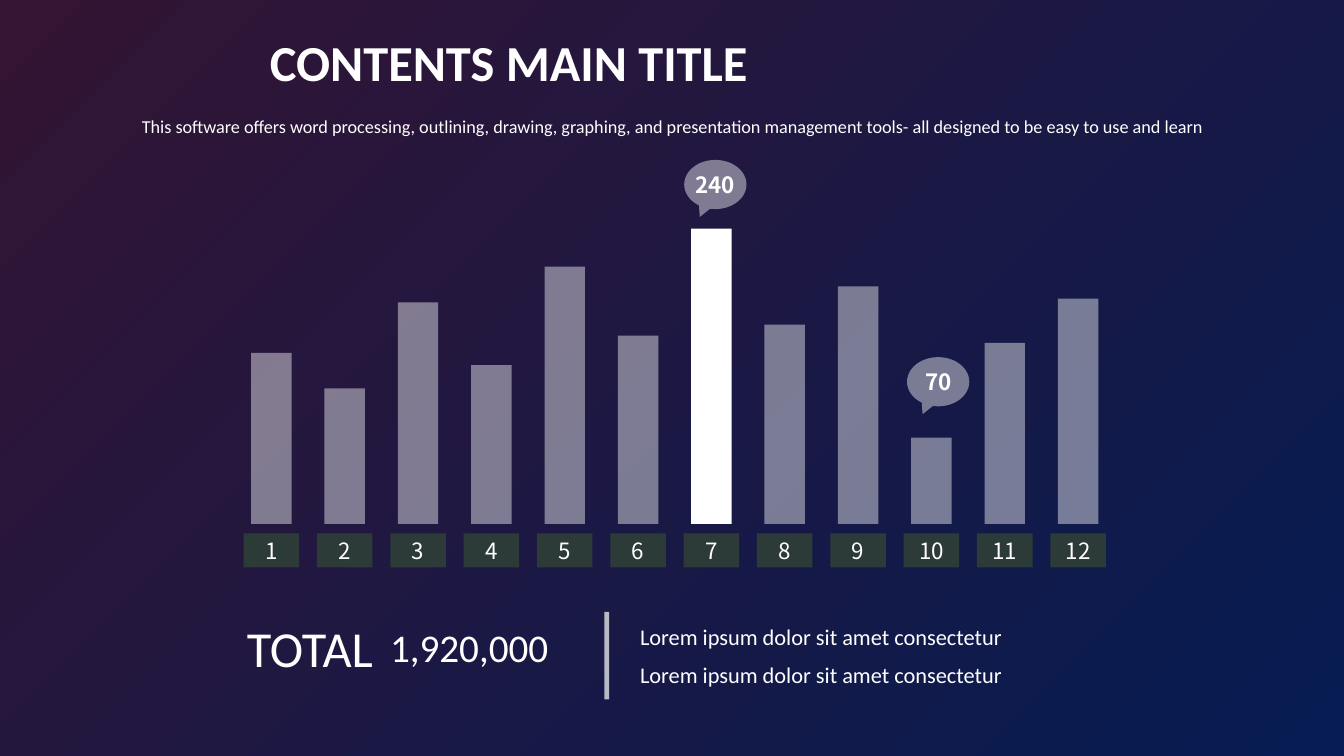
from lxml import etree
from pptx import Presentation
from pptx.dml.color import RGBColor
from pptx.enum.shapes import MSO_CONNECTOR, MSO_SHAPE
from pptx.enum.text import MSO_ANCHOR, MSO_AUTO_SIZE, PP_ALIGN
from pptx.oxml.ns import qn
from pptx.util import Cm, Pt

RECTANGLE = MSO_SHAPE.RECTANGLE
CALLOUT = MSO_SHAPE.OVAL_CALLOUT
STRAIGHT = MSO_CONNECTOR.STRAIGHT
TOP, MIDDLE = MSO_ANCHOR.TOP, MSO_ANCHOR.MIDDLE
LEFT, CENTER = PP_ALIGN.LEFT, PP_ALIGN.CENTER
RIGHT, JUSTIFY = PP_ALIGN.RIGHT, PP_ALIGN.JUSTIFY
NO_FIT, GROW = MSO_AUTO_SIZE.NONE, MSO_AUTO_SIZE.SHAPE_TO_FIT_TEXT

WHITE, LABEL_GREEN = "FFFFFF", "2C3B38"
PURPLE, NAVY = "331433", "061C52"
TEXT_FONT, NUMBER_FONT = "Calibri", "Noto Sans CJK SC"
BAR_ALPHA, DIVIDER_ALPHA = 43, 69

MONTH_VALUES = [139, 110, 180, 129, 209, 153, 240, 162, 193, 70, 147, 183]
HIGHLIGHTED_MONTH = 7
CALLOUT_OFFSETS = {7: (0.1, 1.73), 10: (0.17, 2.03)}
CM_PER_UNIT = 0.031


def paint(color_format, hex_color):
    """Set a colour from a hex string."""
    color_format.rgb = RGBColor.from_string(hex_color)


def set_alpha(shape, percent):
    """Make the coloured fill or line of a shape partly transparent."""
    for color in shape.element.spPr.iter(qn("a:srgbClr")):
        etree.SubElement(color, qn("a:alpha"), val=str(percent * 1000))


def place(shape, left, top, width, height):
    """Move and size a shape, in centimetres."""
    shape.left, shape.top = Cm(left), Cm(top)
    shape.width, shape.height = Cm(width), Cm(height)


def write(shape, text, size, align, font=TEXT_FONT, bold=False,
          anchor=MIDDLE, insets=(0, 0), fit=NO_FIT):
    """Fill a shape with white text in one style."""
    frame = shape.text_frame
    frame.text = text
    frame.word_wrap = True
    frame.auto_size = fit
    frame.vertical_anchor = anchor
    frame.margin_left = frame.margin_right = Cm(insets[0])
    frame.margin_top = frame.margin_bottom = Cm(insets[1])
    for paragraph in frame.paragraphs:
        paragraph.alignment = align
        for run in paragraph.runs:
            run.font.size, run.font.bold, run.font.name = Pt(size), bold, font
            paint(run.font.color, WHITE)


def add_textbox(slide, box, text, size, align, **style):
    """Add a text box at a place given in centimetres."""
    textbox = slide.shapes.add_textbox(*map(Cm, box))
    write(textbox, text, size, align, **style)


def add_block(slide, preset, box, color, alpha=100):
    """Add a flat preset shape without outline."""
    block = slide.shapes.add_shape(preset, *map(Cm, box))
    block.shadow.inherit = False
    block.fill.solid()
    paint(block.fill.fore_color, color)
    block.line.fill.background()
    if alpha < 100:
        set_alpha(block, alpha)
    return block


def set_background(slide):
    """Give the slide its diagonal purple to navy gradient."""
    fill = slide.background.fill
    fill.gradient()
    fill.gradient_angle = 315
    for stop, color in zip(fill.gradient_stops, (PURPLE, NAVY)):
        paint(stop.color, color)


def add_heading(slide, left, top, width):
    """Place the title and the centred subtitle."""
    title = slide.shapes.title
    place(title, left + 4.82, top, 20.75, 1.8)
    style = {"anchor": TOP, "insets": (0.25, 0.13), "fit": GROW}
    write(title, "CONTENTS MAIN TITLE", 36, JUSTIFY, bold=True, **style)
    add_textbox(
        slide, (left, top + 2.11, width, 0.81),
        "This software offers word processing, outlining, drawing, graphing, and "
        "presentation management tools- all designed to be easy to use and learn",
        13, CENTER, **style)


def add_month_bars(slide, left, top, width, height):
    """Draw the twelve bars with their labels and callouts."""
    label_width, label_height, bar_width = 1.4, 0.86, 1.02
    callout_width, callout_height = 1.57, 1.24
    pitch = (width - label_width) / (len(MONTH_VALUES) - 1)
    label_top = top + height - label_height
    baseline = label_top - 0.24
    for index, value in enumerate(MONTH_VALUES):
        month = index + 1
        label_left = left + index * pitch
        center = label_left + label_width / 2
        bar_height = value * CM_PER_UNIT
        bar_top = baseline - bar_height
        alpha = 100 if month == HIGHLIGHTED_MONTH else BAR_ALPHA
        add_block(slide, RECTANGLE,
                  (center - bar_width / 2, bar_top, bar_width, bar_height),
                  WHITE, alpha)
        label = add_block(slide, RECTANGLE,
                          (label_left, label_top, label_width, label_height),
                          LABEL_GREEN)
        write(label, str(month), 16, CENTER, NUMBER_FONT)
        if month in CALLOUT_OFFSETS:
            shift, rise = CALLOUT_OFFSETS[month]
            callout = add_block(
                slide, CALLOUT,
                (center + shift - callout_width / 2, bar_top - rise,
                 callout_width, callout_height), WHITE, BAR_ALPHA)
            callout.adjustments[0] = -0.25
            callout.adjustments[1] = 0.66
            write(callout, str(value), 16, CENTER, NUMBER_FONT, bold=True)


def add_summary(slide, left, top, width, height):
    """Place the total, the divider and the two remarks."""
    add_textbox(slide, (left, top + 0.08, 5.16, 2.18), "TOTAL", 36, RIGHT)
    add_textbox(slide, (left + 5.59, top + 0.08, 5.31, 2.18),
                "1,920,000", 28, LEFT)

    divider_left = Cm(left + 11.05)
    divider = slide.shapes.add_connector(
        STRAIGHT, divider_left, Cm(top + 0.28), divider_left, Cm(top + height))
    paint(divider.line.color, WHITE)
    divider.line.width = Pt(3.25)
    set_alpha(divider, DIVIDER_ALPHA)
    etree.SubElement(divider.element.spPr, qn("a:effectLst"))

    remarks = slide.placeholders[1]
    place(remarks, left + 11.89, top, width - 11.89, height)
    write(remarks, "\n".join(["Lorem ipsum dolor sit amet consectetur"] * 2),
          16, JUSTIFY)
    for remark in remarks.text_frame.paragraphs:
        remark.line_spacing = 1.4
        remark.space_before = Pt(0)
        properties = remark._p.get_or_add_pPr()
        properties.set("marL", "0")
        properties.set("indent", "0")
        etree.SubElement(properties, qn("a:buNone"))


def main():
    """Build the slide and save it."""
    presentation = Presentation()
    presentation.slide_width, presentation.slide_height = Cm(33.87), Cm(19.05)
    slide = presentation.slides.add_slide(presentation.slide_layouts[1])
    set_background(slide)
    add_heading(slide, 1.73, 0.66, 30.4)
    add_month_bars(slide, 6.14, 4.04, 21.73, 10.26)
    add_summary(slide, 4.24, 15.14, 23.93, 2.48)
    presentation.save("out.pptx")


if __name__ == "__main__":
    main()
